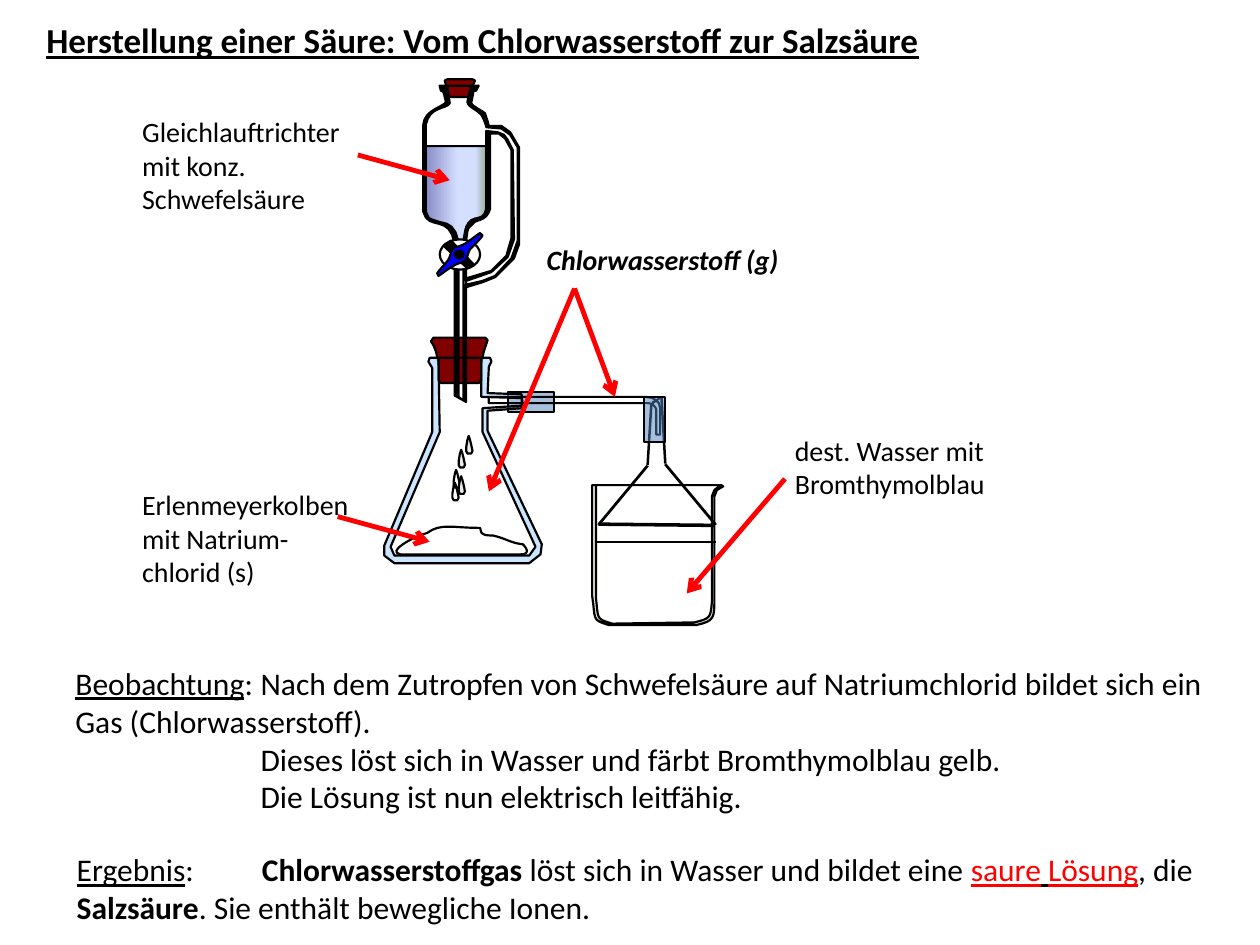
from dataclasses import dataclass
from lxml import etree
from pptx import Presentation
from pptx import util as u
from pptx.dml.color import RGBColor
from pptx.enum import shapes, text
from pptx.oxml.ns import qn

PX = 9144  # EMU per px, 100 px to the inch


@dataclass(frozen=True)
class Theme:
    font: str = "Calibri"
    ink: str = "000000"
    paper: str = "FFFFFF"
    accent: str = "FF0000"
    stopper: str = "800000"
    glass: str = "99CCFF"
    beaker: str = "EEECE1"
    sleeve: str = "4F81BD"
    drop: str = "EAEAEA"
    tap: str = "0000FF"
    acid: tuple = ((0, "8488C4"), (53, "D4DEFF"), (83, "D4DEFF"), (100, "96AB94"))
    title: int = 20
    body: int = 18
    label: int = 16
    outline: float = 1.25
    arrow: float = 2.75


T = Theme()


def rgb(value):
    return RGBColor.from_string(value)


def style(sp, fill=None, alpha=None, outline=True):
    """Fill with a colour, a tuple of gradient stops, or nothing."""
    sp.shadow.inherit = False
    if fill is None:
        sp.fill.background()
    elif isinstance(fill, tuple):
        sp.fill.gradient()
        sp.fill.gradient_angle = 0
        stops = sp._element.spPr.find(".//" + qn("a:gsLst"))
        for old in list(stops):
            stops.remove(old)
        for pos, color in fill:
            stop = etree.SubElement(stops, qn("a:gs"), pos=str(pos * 1000))
            etree.SubElement(stop, qn("a:srgbClr"), val=color)
    else:
        sp.fill.solid()
        sp.fill.fore_color.rgb = rgb(fill)
        if alpha:
            color = sp._element.spPr.find(qn("a:solidFill"))[0]
            etree.SubElement(color, qn("a:alpha"), val=str(alpha * 1000))
    if outline:
        sp.line.color.rgb = rgb(T.ink)
        sp.line.width = u.Pt(T.outline)
    else:
        sp.line.fill.background()


def preset(slide, box, kind, x, y, w, h, fill, alpha=None):
    sp = slide.shapes.add_shape(kind, (box[0] + x) * PX, (box[1] + y) * PX, w * PX, h * PX)
    style(sp, fill, alpha)


def outline(slide, box, points, fill=None, alpha=None, line=True):
    """Closed path: pairs are corners, sixes are cubic curves."""
    path = []
    for point in points:
        if len(point) == 2:
            path.append(point)
            continue
        curve = (path[-1], point[:2], point[2:4], point[4:])
        for t in (k / 8 for k in range(1, 9)):
            weights = ((1 - t) ** 3, 3 * t * (1 - t) ** 2, 3 * t * t * (1 - t), t ** 3)
            path.append(tuple(sum(w * c[i] for w, c in zip(weights, curve)) for i in (0, 1)))
    path = [((box[0] + x) * PX, (box[1] + y) * PX) for x, y in path]
    builder = slide.shapes.build_freeform(*path[0])
    builder.add_line_segments(path[1:], close=True)
    style(builder.convert_to_shape(), fill, alpha, line)


def connect(slide, box, start, end, color=T.ink, width=T.outline, arrow=False):
    ends = [(box[i] + point[i]) * PX for point in (start, end) for i in (0, 1)]
    line = slide.shapes.add_connector(shapes.MSO_CONNECTOR.STRAIGHT, *ends)
    line.line.color.rgb = rgb(color)
    line.line.width = u.Pt(width)
    if arrow:
        etree.SubElement(line.line._get_or_add_ln(), qn("a:tailEnd"), type="arrow")
    etree.SubElement(line._element.spPr, qn("a:effectLst"))


def write(slide, box, paragraphs, size, tab=None):
    """Paragraphs are (indent, runs); a run is (text, flags) with b, i, u or r for red."""
    tf = slide.shapes.add_textbox(*(v * PX for v in box)).text_frame
    tf.word_wrap = True
    tf.auto_size = text.MSO_AUTO_SIZE.SHAPE_TO_FIT_TEXT
    for n, (indent, runs) in enumerate(paragraphs):
        p = tf.add_paragraph() if n else tf.paragraphs[0]
        pPr = p._p.get_or_add_pPr()
        if indent:
            pPr.set("marL", str(indent * PX))
        elif tab:
            tabs = etree.SubElement(pPr, qn("a:tabLst"))
            etree.SubElement(tabs, qn("a:tab"), pos=str(tab * PX), algn="l")
        for words, flags in runs:
            r = p.add_run()
            r.text = words
            r.font.name, r.font.size = T.font, u.Pt(size)
            r.font.color.rgb = rgb(T.accent if "r" in flags else T.ink)
            r.font.bold, r.font.italic, r.font.underline = (f in flags for f in "biu")


def draw_flask(slide, box):
    preset(slide, box, shapes.MSO_SHAPE.RECTANGLE, 103, 51, 37, 16, T.sleeve, 50)
    outline(slide, box, [
        (44, 14), (42, 11), (44, 8), (85, 8), (87, 10), (84, 19), (82, 28), (82, 42),
        (80, 44), (50, 44), (48, 42), (48, 28), (46, 19)], T.stopper)
    outline(slide, box, [
        (5, 173), (5, 181), (13, 187), (120, 187), (129, 180), (130, 172), (87, 82), (87, 66),
        (115, 64), (114, 53), (87, 52), (88, 31), (90, 27), (89, 24), (82, 24), (82, 55),
        (114, 56), (114, 62), (83, 64), (83, 83), (125, 174), (120, 181), (13, 181), (10, 174),
        (49, 83), (48, 24), (88, 24), (41, 24), (40, 27), (43, 32), (43, 83)], T.glass, 50)
    drop = [(1, 3), (0, 9), (0, 12), (1, 14), (4, 14), (5, 12), (4, 7), (3, 3), (2, 0)]
    for x, y, fill in ((64, 97, T.drop), (60, 113, None), (59, 123, None),
                       (70, 86, T.drop), (64, 118, T.drop)):
        outline(slide, (box[0] + x, box[1] + y), drop, fill)
    salt = [(113, 180), (18, 180), (6, 178, 28, 166, 39, 163), (50, 155, 59, 159, 81, 159),
            (82, 161, 81, 163, 84, 164), (85, 165, 89, 165, 91, 165),
            (101, 167, 105, 171, 115, 172), (117, 174, 122, 180, 113, 180)]
    outline(slide, box, salt, T.paper)


def draw_funnel(slide, box):
    """Dropping funnel with pressure equaliser and stopcock."""
    outline(slide, box, [
        (23, 4), (25, 3), (45, 3), (47, 4), (44, 11), (43, 16), (42, 17), (28, 17),
        (26, 16), (25, 11)], T.stopper)
    outline(slide, box, [
        (8, 56), (56, 56), (56, 105), (55, 112), (46, 115), (40, 120), (39, 134), (32, 134),
        (31, 126), (25, 119), (18, 116), (9, 113), (7, 108), (8, 101)], T.acid)
    outline(slide, box, [
        (40, 166), (53, 163), (63, 159), (76, 145), (81, 131), (81, 57), (75, 47), (68, 42),
        (56, 41), (56, 40), (55, 38, 54, 33, 51, 30), (48, 27, 42, 25, 41, 21), (44, 8),
        (50, 8), (48, 12), (46, 12), (44, 22), (46, 25, 53, 28, 55, 30), (57, 36), (58, 40),
        (68, 40), (75, 45), (82, 57), (82, 134), (78, 145), (63, 160), (53, 164), (40, 168),
        (40, 161), (60, 155), (72, 143), (76, 129), (76, 59), (71, 50), (66, 46), (59, 46),
        (59, 106), (56, 116, 48, 114, 46, 117), (42, 121), (41, 123, 41, 124, 40, 131),
        (40, 162), (38, 162), (38, 167), (40, 166), (40, 259), (31, 254), (31, 134),
        (27, 109, 10, 124, 6, 108), (6, 39), (7, 27, 22, 25, 24, 21), (22, 13), (20, 12),
        (19, 8), (25, 8), (45, 8), (25, 8), (27, 22), (24, 27, 11, 24, 8, 39), (8, 108),
        (12, 124, 29, 107, 34, 132), (34, 255), (38, 258), (38, 130),
        (41, 104, 53, 120, 56, 106), (56, 44), (65, 45), (70, 47), (73, 51), (77, 59),
        (78, 130), (73, 144), (60, 156), (40, 163)], T.ink)
    preset(slide, box, shapes.MSO_SHAPE.OVAL, 19, 130, 32, 24, T.paper)
    outline(slide, box, [(22, 135), (41, 153), (46, 150), (28, 131)], T.ink)
    outline(slide, box, [
        (51, 125), (49, 126, 42, 132, 38, 134), (34, 136, 31, 136, 30, 137),
        (28, 139, 28, 142, 26, 146), (24, 149, 18, 155, 17, 157), (18, 159),
        (20, 158, 26, 153, 30, 151), (33, 149, 36, 149, 39, 147),
        (41, 145, 41, 142, 43, 138), (46, 135, 52, 129, 53, 127)], T.tap)
    preset(slide, box, shapes.MSO_SHAPE.OVAL, 31, 139, 7, 6, T.ink)


def draw_gas_tube(slide, box):
    outline(slide, box, [
        (141, 35), (141, 15), (140, 13), (138, 11), (135, 10), (8, 10), (8, 5), (133, 5),
        (138, 6), (141, 8), (143, 10), (144, 14), (144, 35)])


def draw_beaker(slide, box):
    """Beaker of water with the inverted funnel dipping in."""
    outline(slide, box, [
        (10, 163), (13, 181, 9, 182, 23, 186), (93, 186), (107, 183, 107, 180, 107, 166),
        (107, 84), (109, 79), (114, 76), (112, 75), (111, 76, 108, 78, 107, 79), (105, 84),
        (105, 168), (104, 180, 104, 181, 91, 184), (26, 185), (13, 181, 15, 182, 13, 164),
        (13, 75), (113, 75), (10, 75)], T.beaker)
    connect(slide, box, (14, 120), (108, 120))
    for wall in ([(107, 107), (67, 59), (69, 58), (109, 106)],
                 [(67, 58), (64, 6), (66, 6), (69, 58)],
                 [(14, 106), (53, 59), (55, 60), (16, 107)],
                 [(53, 59), (56, 10), (58, 10), (55, 59)],
                 [(57, 9), (64, 5), (65, 6), (58, 11)]):
        outline(slide, box, wall, T.ink, line=False)
    connect(slide, box, (107, 107), (15, 106), width=0)
    preset(slide, box, shapes.MSO_SHAPE.RECTANGLE, 51, 5, 17, 36, T.sleeve, 50)


def add_label(slide, box, words, start, ends, flags=""):
    for end in ends:
        connect(slide, box, start, end, T.accent, T.arrow, arrow=True)
    write(slide, box, [(0, [(words, flags)])], T.label)


def add_notes(slide, box, tab=147):
    x, y, w, h = box
    write(slide, (x, y, w, 131), [
        (0, [("Beobachtung", "u"), (":\tNach dem Zutropfen von Schwefelsäure auf "
             "Natriumchlorid bildet sich ein Gas (Chlorwasserstoff).", "")]),
        (tab, [("Dieses löst sich in Wasser und färbt Bromthymolblau gelb.", "")]),
        (tab, [("Die Lösung ist nun elektrisch leitfähig.", "")])], T.body, tab)
    write(slide, (x + 1, y + h - 71, w, 71), [
        (0, [("Ergebnis", "u"), (":\t", ""), ("Chlorwasserstoffgas", "b"),
             (" löst sich in Wasser und bildet eine ", ""), ("saure", "ur"), (" ", "u"),
             ("Lösung", "ur"), (", die ", ""), ("Salzsäure", "b"),
             (". Sie enthält bewegliche Ionen.", "")])], T.body, tab)


def main():
    prs = Presentation()
    prs.slide_width, prs.slide_height = 1000 * PX, 750 * PX
    s = prs.slides.add_slide(prs.slide_layouts[6])
    draw_flask(s, (300, 260))
    draw_funnel(s, (330, 60))
    draw_gas_tube(s, (380, 310))
    draw_beaker(s, (460, 310))
    add_label(s, (103, 86, 189, 91), "Gleichlauftrichter mit konz. Schwefelsäure",
              (181, 37), [(254, 57)])
    add_label(s, (103, 382, 196, 91), "Erlenmeyerkolben mit Natrium-chlorid (s)",
              (165, 28), [(238, 48)])
    add_label(s, (424, 188, 207, 37), "Chlorwasserstoff (g)",
              (32, 41), [(-36, 202), (64, 127)], "bi")
    add_label(s, (621, 339, 191, 64), "dest. Wasser mit Bromthymolblau", (2, 41), [(-76, 132)])
    add_notes(s, (50, 522, 931, 219))
    write(s, (27, 10, 858, 44), [
        (0, [("Herstellung einer Säure: Vom Chlorwasserstoff zur Salzsäure", "bu")])], T.title)
    prs.save("out.pptx")


if __name__ == "__main__":
    main()
